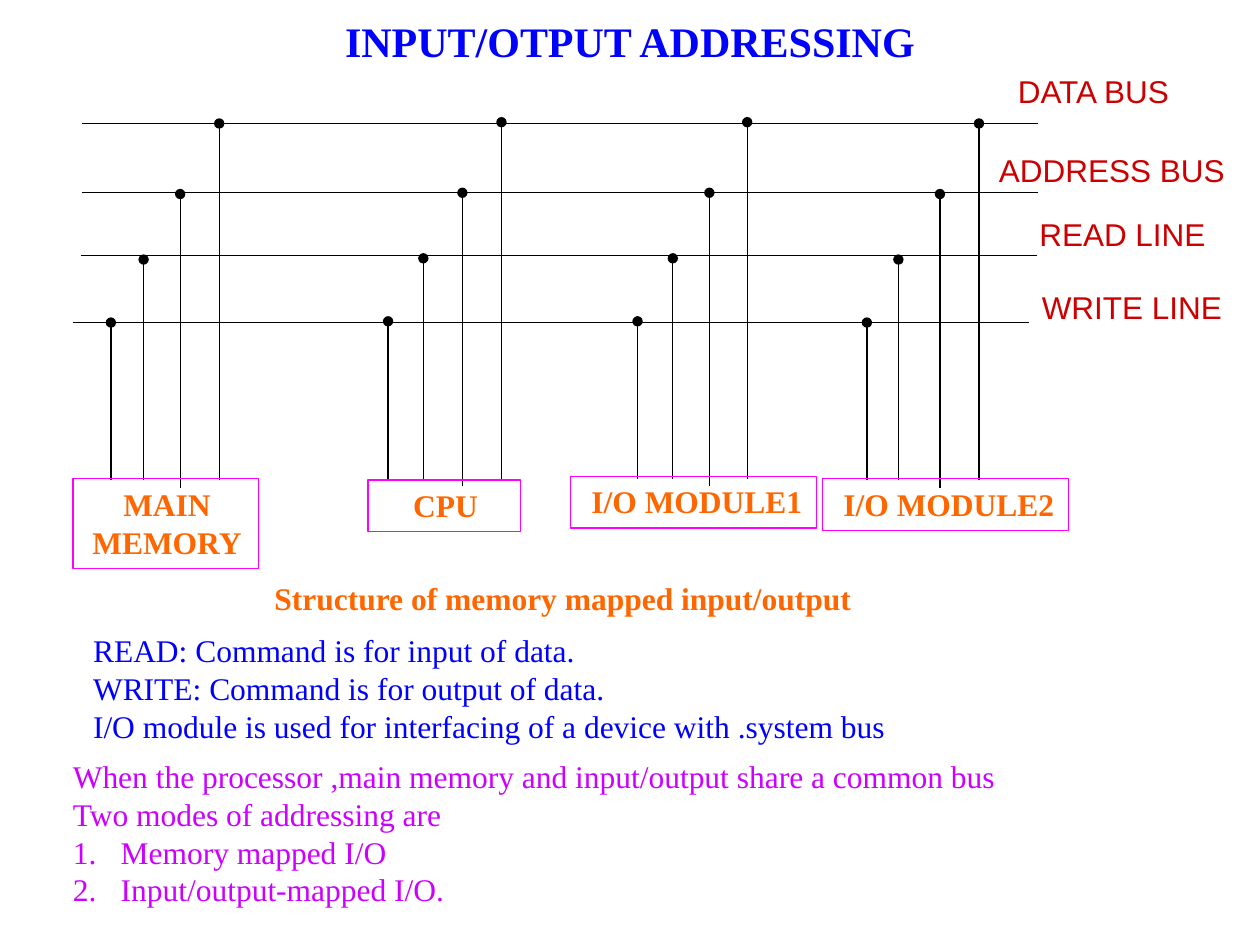
from dataclasses import dataclass

from lxml.etree import SubElement
from pptx import Presentation
from pptx.dml.color import RGBColor
from pptx.enum.shapes import MSO_CONNECTOR as Connector, MSO_SHAPE as Shape
from pptx.enum.text import MSO_ANCHOR as Anchor, PP_ALIGN as Align
from pptx.oxml.ns import qn
from pptx.util import Inches, Pt


@dataclass(frozen=True)
class Theme:
    serif: str = "Times New Roman"
    sans: str = "Arial"
    title_size: int = 24
    body_size: int = 18
    line_width: float = 0.75
    blue: str = "0000FF"
    red: str = "CC0000"
    orange: str = "FF6600"
    purple: str = "CC00FF"
    magenta: str = "FF00FF"
    black: str = "000000"


THEME = Theme()

# Content: label, label box, line start, line y, riser top, riser bottom
BUSES = [
    ("WRITE LINE", (8.17, 2.24, 1.63, 0.4), 0.58, 2.56, 2.56, 3.81),
    ("READ LINE", (8.15, 1.66, 1.52, 0.4), 0.64, 2.03, 2.06, 3.81),
    ("ADDRESS BUS", (7.83, 1.15, 1.99, 0.4), 0.65, 1.53, 1.54, 3.87),
    ("DATA BUS", (7.98, 0.52, 1.45, 0.4), 0.65, 0.98, 0.98, 3.81),
]
BUS_LENGTH = 7.59

# Lines, box, left inset, riser positions in bus order, riser shift
UNITS = [
    (["MAIN", "MEMORY"], (0.58, 3.8, 1.47, 0.71), 0.12, (0.88, 1.14, 1.43, 1.74), 0),
    (["CPU"], (2.92, 3.81, 1.21, 0.41), 0.12, (3.08, 3.36, 3.67, 3.98), -0.01),
    (["I/O MODULE1"], (4.53, 3.78, 1.95, 0.41), 0.15, (5.06, 5.34, 5.63, 5.93), -0.01),
    (["I/O MODULE2"], (6.53, 3.8, 1.95, 0.41), 0.15, (6.88, 7.13, 7.46, 7.77), 0),
]
CAPTION = ["Structure of memory mapped input/output"]
COMMANDS = [
    "READ: Command is for input of data.",
    "WRITE: Command is for output of data.",
    "I/O module is used for interfacing of a device with .system bus",
]
MODES_INTRO = [
    "When the processor ,main memory and input/output share a common bus",
    "Two modes of addressing are",
]
MODES = ["Memory mapped I/O", "Input/output-mapped I/O."]


def write_text(shape, lines, color, font=THEME.serif, size=THEME.body_size,
               bold=False, align=Align.LEFT, anchor=Anchor.TOP, wrap=False,
               left_inset=0.1, numbered=()):
    frame = shape.text_frame
    frame.word_wrap = wrap
    frame.vertical_anchor = anchor
    frame.margin_left = Inches(left_inset)
    for index, line in enumerate(lines):
        para = frame.paragraphs[0] if index == 0 else frame.add_paragraph()
        para.alignment = align
        if line in numbered:
            properties = para._p.get_or_add_pPr()
            properties.set("marL", str(Inches(0.38)))
            properties.set("indent", str(Inches(-0.38)))
            SubElement(properties, qn("a:buFont"), typeface="+mj-lt")
            SubElement(properties, qn("a:buAutoNum"), type="arabicPeriod")
        span = para.add_run()
        span.text = line
        span.font.name = font
        span.font.size = Pt(size)
        span.font.bold = bold
        span.font.color.rgb = RGBColor.from_string(color)


def add_text(page, box, lines, color, **text_format):
    shape = page.shapes.add_textbox(*map(Inches, box))
    write_text(shape, lines, color, **text_format)


def add_line(page, start, end, dot=False):
    line = page.shapes.add_connector(Connector.STRAIGHT, *map(Inches, start + end))
    line.line.color.rgb = RGBColor.from_string(THEME.black)
    line.line.width = Pt(THEME.line_width)
    if dot:
        SubElement(line.line._get_or_add_ln(), qn("a:tailEnd"), type="oval")
    SubElement(line._element.spPr, qn("a:effectLst"))


def add_unit(page, box, lines, left_inset):
    unit = page.shapes.add_shape(Shape.RECTANGLE, *map(Inches, box))
    unit.shadow.inherit = False
    unit.fill.background()
    unit.line.color.rgb = RGBColor.from_string(THEME.magenta)
    unit.line.width = Pt(THEME.line_width)
    write_text(unit, lines, THEME.orange, bold=True, align=Align.CENTER,
               left_inset=left_inset)


def main():
    deck = Presentation()
    deck.slide_width, deck.slide_height = Inches(10), Inches(7.5)
    page = deck.slides.add_slide(deck.slide_layouts[5])

    # Title
    title = page.shapes.title
    title.left, title.top, title.width, title.height = map(Inches, (0.5, -0.03, 9, 0.7))
    write_text(title, ["INPUT/OTPUT ADDRESSING"], THEME.blue, size=THEME.title_size,
               bold=True, align=Align.CENTER, anchor=Anchor.MIDDLE, wrap=True)

    # Bus lines and their labels
    for label, box, left, y, _, _ in BUSES:
        add_line(page, (left, y), (left + BUS_LENGTH, y))
        add_text(page, box, [label], THEME.red, font=THEME.sans)

    # Units, each tapped into every bus
    for lines, box, inset, positions, shift in UNITS:
        for x, (*_, top, bottom) in zip(positions, BUSES):
            add_line(page, (x, bottom + shift), (x, top + shift), dot=True)
        add_unit(page, box, lines, inset)

    # Caption and explanations
    add_text(page, (2.08, 4.55, 4.78, 0.4), CAPTION, THEME.orange, bold=True)
    add_text(page, (0.64, 4.96, 6.49, 1), COMMANDS, THEME.blue)
    add_text(page, (0.48, 5.96, 7.53, 1.3), MODES_INTRO + MODES, THEME.purple,
             numbered=MODES)

    deck.save("out.pptx")


if __name__ == "__main__":
    main()
